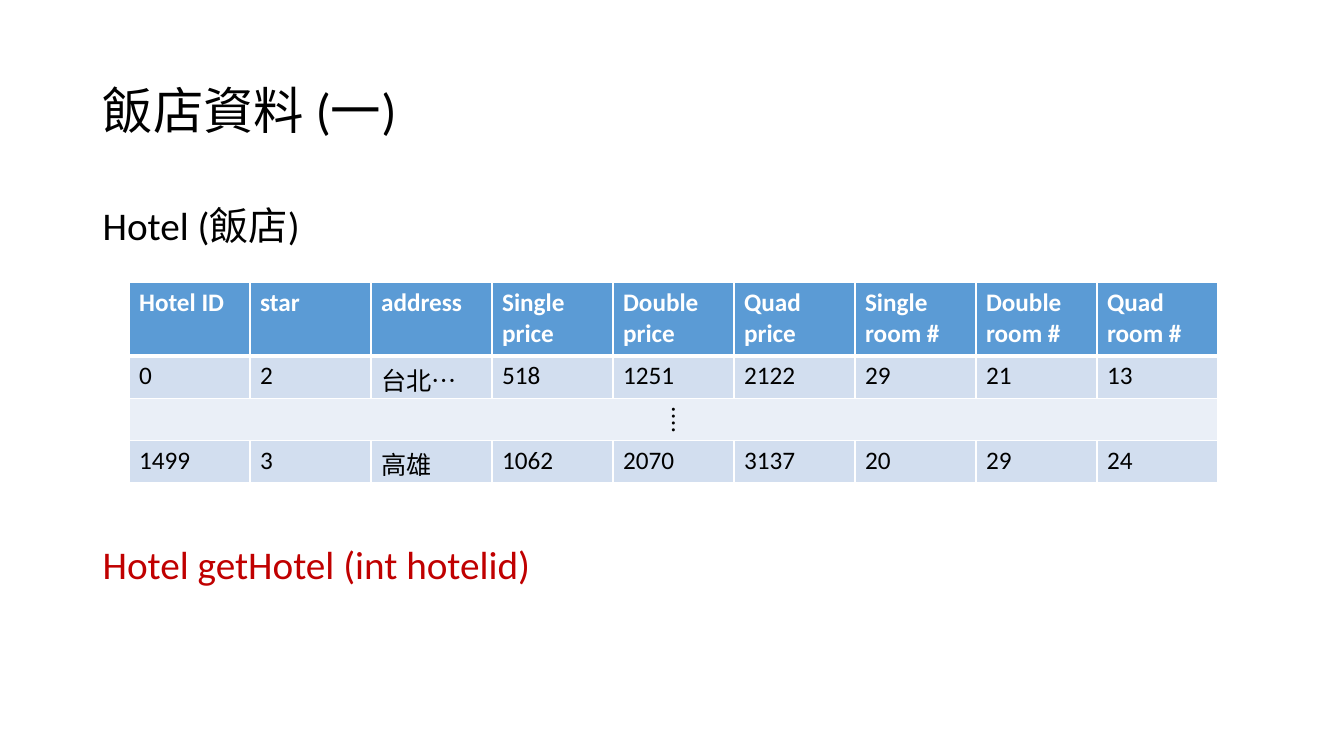
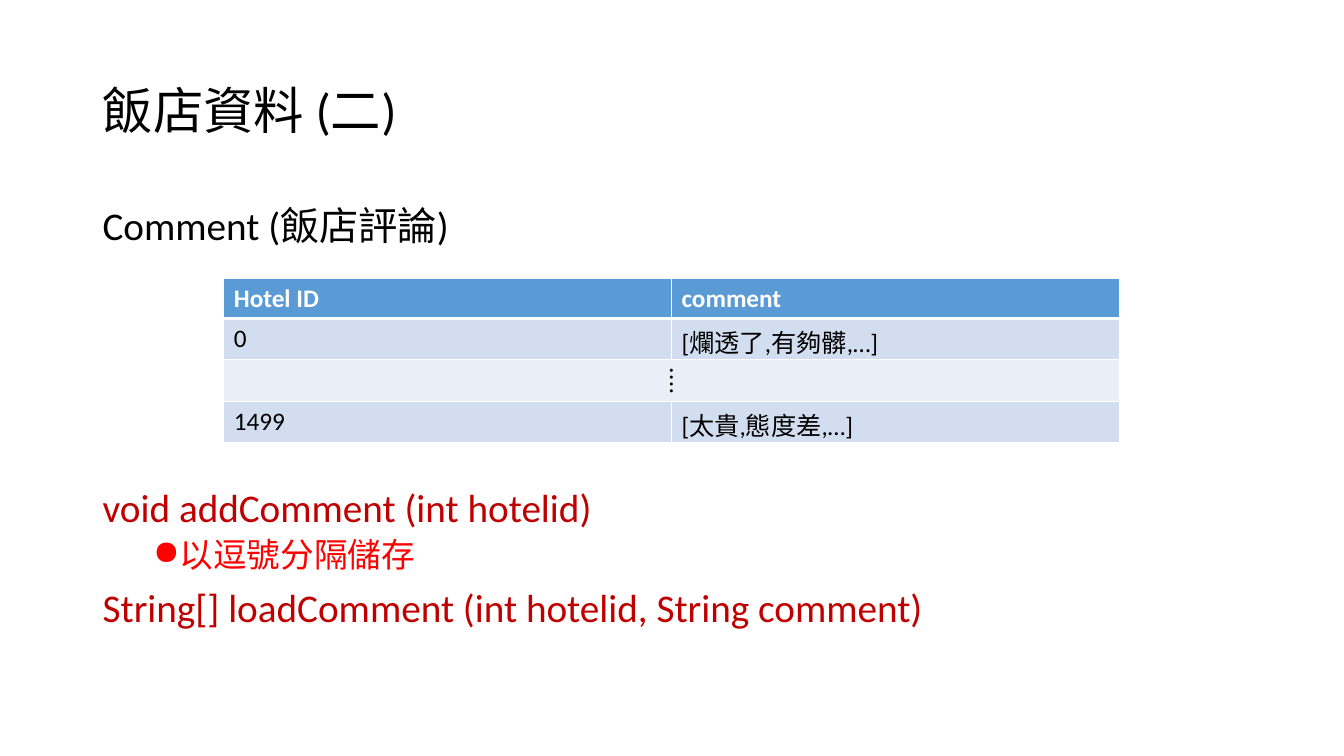
from dataclasses import dataclass

from lxml import etree
from pptx import Presentation
from pptx.dml.color import RGBColor
from pptx.enum import text as tx
from pptx.oxml import ns
from pptx.util import Inches, Pt

FONT = "Calibri"
HUES = {
    "ink": "000000", "white": "FFFFFF", "head": "5B9BD5", "band": "D2DEEF",
    "pale": "EAEFF7", "code": "C00000", "note": "FF0000",
}
LEFT, WIDE = 0.92, 11.5
DOTS = "⁞"


@dataclass
class Line:
    text: str
    size: int = 28
    hue: str = "code"
    bullet: bool = False


@dataclass
class Grid:
    left: float
    top: float
    col: float
    heights: list[float]
    rows: list[list[str]]


@dataclass
class Page:
    title: str
    name: str
    grid: Grid
    low: float
    calls: list[Line]


PAGES = [
    Page("飯店資料 (一)", "Hotel (飯店)",
         Grid(1.28, 2.8, 1.2, [0.73, 0.42, 0.42, 0.42], [
             ["Hotel ID", "star", "address", "Single price", "Double price",
              "Quad price", "Single room #", "Double room #", "Quad room #"],
             ["0", "2", "台北…", "518", "1251", "2122", "29", "21", "13"],
             [DOTS],
             ["1499", "3", "高雄", "1062", "2070", "3137", "20", "29", "24"],
         ]),
         5.36, [Line("Hotel getHotel (int hotelid)")]),
    Page("飯店資料 (二)", "Comment (飯店評論)",
         Grid(2.22, 2.76, 4.44, [0.39, 0.41, 0.41, 0.41], [
             ["Hotel ID", "comment"],
             ["0", "[爛透了,有夠髒,…]"],
             [DOTS],
             ["1499", "[太貴,態度差,…]"],
         ]),
         4.8, [Line("void addComment (int hotelid)"),
               Line("以逗號分隔儲存", 24, "note", True),
               Line("String[] loadComment (int hotelid, String comment)")]),
]


def paint(hue: str) -> RGBColor:
    return RGBColor.from_string(HUES[hue])


def write(para, text: str, *, size: int, hue: str = "ink",
          bold: bool = False, align=None) -> None:
    run = para.add_run()
    run.text = text
    run.font.name = FONT
    run.font.size = Pt(size)
    run.font.bold = bold
    run.font.color.rgb = paint(hue)
    para.alignment = align


def mark(para) -> None:
    """Give the paragraph a hanging round bullet."""
    props = para._p.get_or_add_pPr()
    props.set("marL", str(Inches(0.75)))
    props.set("indent", str(Inches(-0.25)))
    etree.SubElement(props, ns.qn("a:buChar"), char="●")


def block(slide, top: float, high: float, lines: list[Line],
          anchor=tx.MSO_ANCHOR.TOP) -> None:
    box = slide.shapes.add_textbox(
        Inches(LEFT), Inches(top), Inches(WIDE), Inches(high))
    frame = box.text_frame
    frame.word_wrap = True
    frame.vertical_anchor = anchor
    for i, line in enumerate(lines):
        para = frame.add_paragraph() if i else frame.paragraphs[0]
        write(para, line.text, size=line.size, hue=line.hue)
        para.line_spacing = 0.9
        if i:
            para.space_before = Pt(5 if line.bullet else 10)
        if line.bullet:
            mark(para)


def edge(cell, row: int) -> None:
    """Draw white cell borders, thick between header and body."""
    props = cell._tc.get_or_add_tcPr()
    thick = {(0, "B"), (1, "T")}
    for i, side in enumerate("LRTB"):
        width = Pt(3 if (row, side) in thick else 1)
        line = etree.Element(ns.qn(f"a:ln{side}"), w=str(width))
        fill = etree.SubElement(line, ns.qn("a:solidFill"))
        etree.SubElement(fill, ns.qn("a:srgbClr"), val=HUES["white"])
        props.insert(i, line)


def table(slide, grid: Grid) -> None:
    count = len(grid.rows[0])
    tab = slide.shapes.add_table(
        len(grid.rows), count, Inches(grid.left), Inches(grid.top),
        Inches(grid.col * count), Inches(sum(grid.heights))).table
    for col in tab.columns:
        col.width = Inches(grid.col)
    for r, (row, high) in enumerate(zip(grid.rows, grid.heights)):
        tab.rows[r].height = Inches(high)
        head, span = r == 0, len(row) == 1
        for cell in tab.rows[r].cells:
            cell.fill.solid()
            cell.fill.fore_color.rgb = paint(
                "head" if head else "band" if r % 2 else "pale")
            edge(cell, r)
        if span:
            tab.cell(r, 0).merge(tab.cell(r, count - 1))
        for c, text in enumerate(row):
            write(tab.cell(r, c).text_frame.paragraphs[0], text, size=18,
                  hue="white" if head else "ink", bold=head,
                  align=tx.PP_ALIGN.CENTER if span else None)


def main() -> None:
    deck = Presentation()
    deck.slide_width, deck.slide_height = Inches(13.33), Inches(7.5)
    for page in PAGES:
        slide = deck.slides.add_slide(deck.slide_layouts[6])
        block(slide, 0.4, 1.45, [Line(page.title, 36, "ink")],
              tx.MSO_ANCHOR.MIDDLE)
        block(slide, 2, 0.6, [Line(page.name, hue="ink")])
        table(slide, page.grid)
        block(slide, page.low, 0.5 * len(page.calls), page.calls)
    deck.save("out.pptx")


if __name__ == "__main__":
    main()
